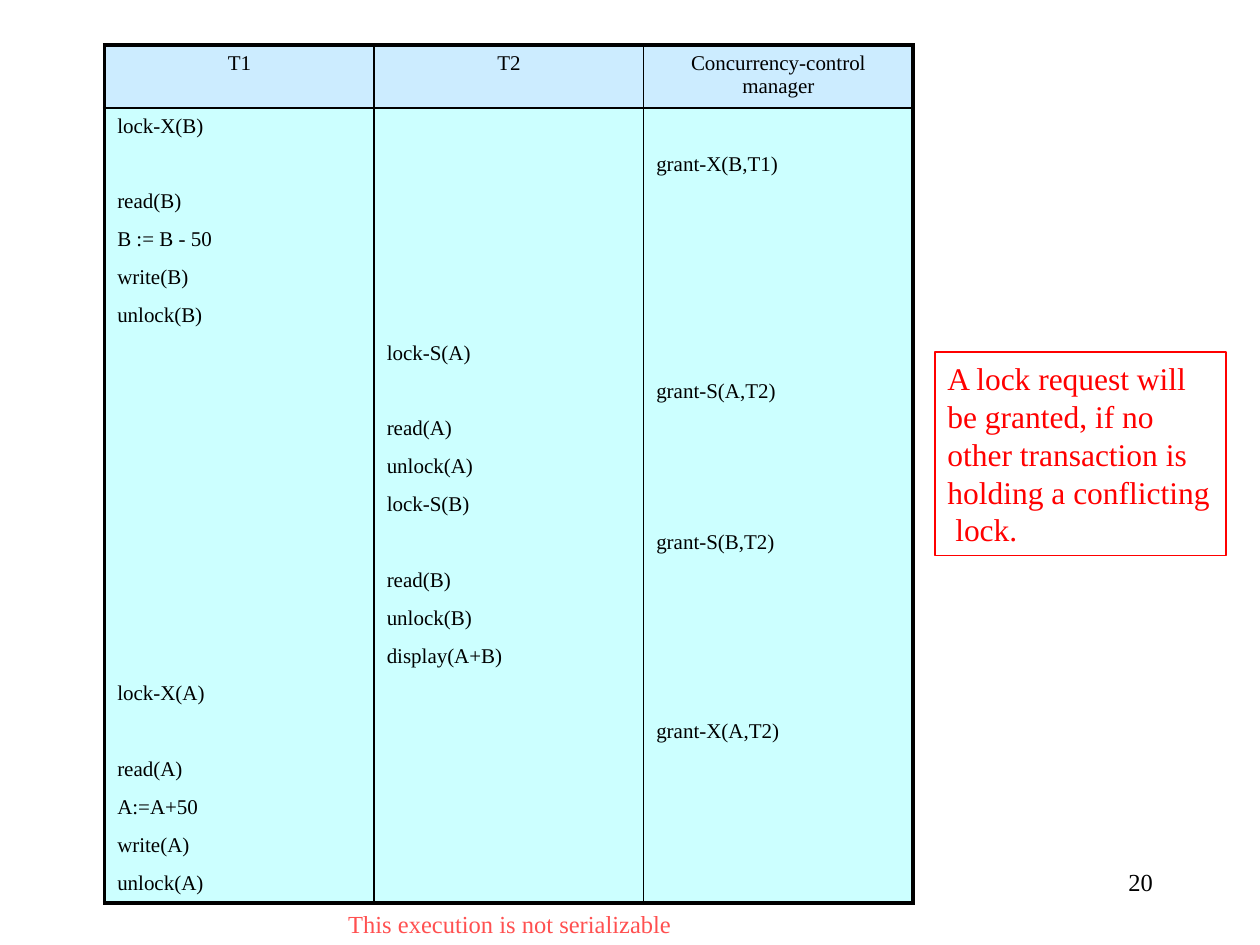
from lxml.etree import SubElement
from pptx import Presentation
from pptx.dml.color import RGBColor
from pptx.enum.shapes import MSO_SHAPE as Shape
from pptx.enum.text import MSO_AUTO_SIZE as AutoSize, PP_ALIGN as Align
from pptx.oxml.ns import qn
from pptx.util import Cm, Pt

FONT = "Times New Roman"
BLACK, RED, CORAL = "000000", "FF0000", "FF5050"
HEADER_FILL, BODY_FILL = "CCECFF", "CCFFFF"
OUTER, INNER = 2.25, 1

HEADINGS = ["T1", "T2", "Concurrency-control manager"]
T1, T2, MANAGER = range(3)
# One step of the schedule per row: who acts, and the operation
SCHEDULE = [
    (T1, "lock-X(B)"),
    (MANAGER, "grant-X(B,T1)"),
    (T1, "read(B)"),
    (T1, "B := B - 50"),
    (T1, "write(B)"),
    (T1, "unlock(B)"),
    (T2, "lock-S(A)"),
    (MANAGER, "grant-S(A,T2)"),
    (T2, "read(A)"),
    (T2, "unlock(A)"),
    (T2, "lock-S(B)"),
    (MANAGER, "grant-S(B,T2)"),
    (T2, "read(B)"),
    (T2, "unlock(B)"),
    (T2, "display(A+B)"),
    (T1, "lock-X(A)"),
    (MANAGER, "grant-X(A,T2)"),
    (T1, "read(A)"),
    (T1, "A:=A+50"),
    (T1, "write(A)"),
    (T1, "unlock(A)"),
]
CAPTION = "This execution is not serializable"
LOCK_RULE = ["A lock request will", "be granted, if no", "other transaction is",
             "holding a conflicting", " lock."]
PAGE_NUMBER = "20"

TABLE_LEFT, TABLE_TOP, TABLE_WIDTH = 2.11, 0.91, 16.3
HEADER_HEIGHT, BODY_HEIGHT = 1.27, 16


def color(hex_code):
    return RGBColor.from_string(hex_code)


def write(frame, text, size=12, ink=BLACK, align=Align.LEFT, wrap=True):
    frame.word_wrap = wrap
    if not wrap:
        frame.auto_size = AutoSize.SHAPE_TO_FIT_TEXT
    paragraph = frame.paragraphs[0]
    paragraph.alignment = align
    if not text:
        # An empty cell needs its own text size to keep the row low
        SubElement(paragraph._p, qn("a:endParaRPr"), sz=str(size * 100))
        return
    paragraph.text = text
    for run in paragraph.runs:
        run.font.name, run.font.size = FONT, Pt(size)
        run.font.color.rgb = color(ink)


def set_borders(cell, left, right, top, bottom):
    """Give each side a width in points; 0 means no line."""
    properties = cell._tc.get_or_add_tcPr()
    widths = {"a:lnL": left, "a:lnR": right, "a:lnT": top, "a:lnB": bottom}
    for position, (side, width) in enumerate(widths.items()):
        line = SubElement(properties, qn(side), w=str(Pt(width)))
        if width:
            fill = SubElement(line, qn("a:solidFill"))
            SubElement(fill, qn("a:srgbClr"), val=BLACK)
        else:
            SubElement(line, qn("a:noFill"))
        properties.insert(position, line)


def add_schedule(slide):
    rows, columns = len(SCHEDULE) + 1, len(HEADINGS)
    table = slide.shapes.add_table(
        rows, columns, Cm(TABLE_LEFT), Cm(TABLE_TOP),
        Cm(TABLE_WIDTH), Cm(HEADER_HEIGHT + BODY_HEIGHT)).table
    for column in table.columns:
        column.width = Cm(TABLE_WIDTH / columns)
    row_edges = [OUTER, INNER] + [0] * (rows - 2) + [OUTER]
    column_edges = [OUTER] + [INNER] * (columns - 1) + [OUTER]
    grid = [HEADINGS] + [
        [operation if actor == c else "" for c in range(columns)]
        for actor, operation in SCHEDULE]
    for r, texts in enumerate(grid):
        header = r == 0
        table.rows[r].height = Cm(HEADER_HEIGHT if header else BODY_HEIGHT / len(SCHEDULE))
        for c, text in enumerate(texts):
            cell = table.cell(r, c)
            cell.fill.solid()
            cell.fill.fore_color.rgb = color(HEADER_FILL if header else BODY_FILL)
            set_borders(cell, *column_edges[c:c + 2], *row_edges[r:r + 2])
            write(cell.text_frame, text, align=Align.CENTER if header else Align.LEFT)


def add_text(slide, text, left, top, width, height, **text_format):
    box = slide.shapes.add_textbox(Cm(left), Cm(top), Cm(width), Cm(height))
    write(box.text_frame, text, **text_format)


def add_lock_rule(slide):
    box = slide.shapes.add_shape(Shape.RECTANGLE, Cm(18.85), Cm(7.09), Cm(5.87), Cm(4.11))
    box.shadow.inherit = False
    box.fill.background()
    box.line.color.rgb = color(RED)
    box.line.width = Pt(1)
    write(box.text_frame, "\v".join(LOCK_RULE), size=18, ink=RED, wrap=False)


def main():
    deck = Presentation()
    deck.slide_width, deck.slide_height = Cm(25.4), Cm(19.05)
    slide = deck.slides.add_slide(deck.slide_layouts[6])
    add_text(slide, PAGE_NUMBER, 18.21, 17.35, 5.28, 1.27, size=14, align=Align.RIGHT)
    add_schedule(slide)
    add_text(slide, CAPTION, 6.68, 18.21, 7.2, 0.84, size=14, ink=CORAL,
             align=Align.CENTER, wrap=False)
    add_lock_rule(slide)
    deck.save("out.pptx")


if __name__ == "__main__":
    main()
